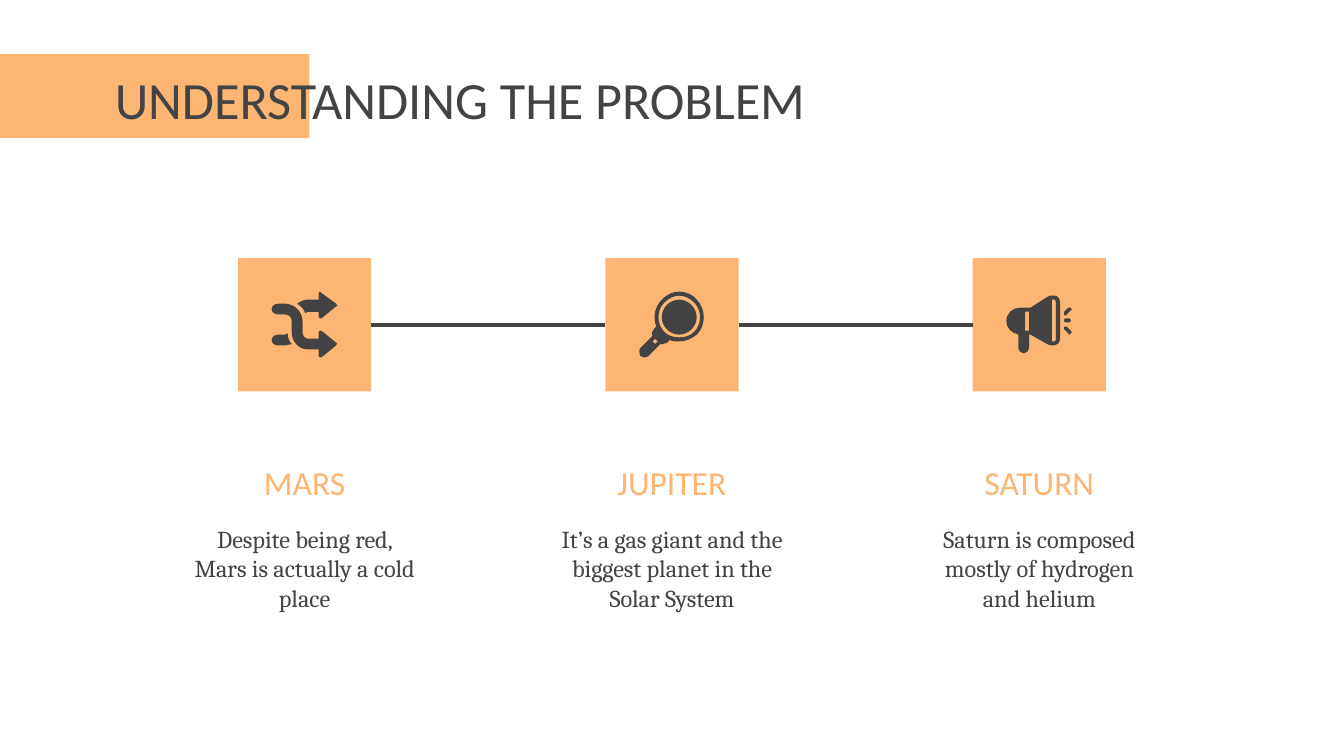
from itertools import pairwise

from lxml.etree import SubElement
from pptx import Presentation
from pptx.dml.color import RGBColor
from pptx.enum.shapes import MSO_CONNECTOR as Connector, MSO_SHAPE as Shape
from pptx.enum.text import MSO_ANCHOR as Anchor, PP_ALIGN as Align
from pptx.oxml.ns import qn
from pptx.util import Pt

ORANGE = RGBColor(0xFC, 0xB5, 0x72)
DARK = RGBColor(0x43, 0x43, 0x43)

SQUARE_LEFT, SQUARE_TOP, SQUARE_SIZE = 127.5, 138.25, 71.4
COLUMN_STEP = 196.8
ICON_UNIT = 0.72  # points per unit of the outlines below

TITLE = {"size": Pt(28), "name": "Calibri", "color": DARK}
HEADING = {"size": Pt(18), "name": "Calibri", "color": ORANGE}
BODY = {"size": Pt(13), "name": "Cambria", "color": DARK}

# Outlines start at the corner of their square: M move, L line, C curve, Z close
SHUFFLE_ICON = [
    "M 30 34 C 27 34 25 36 25 38 C 25 40 27 42 30 42 L 35 42 C 38 42 40 44 40 47 "
    "L 40 55 C 40 62 45 68 52 68 L 60 68 L 60 72 C 60 73 60 74 61 74 "
    "C 61 74 62 74 62 74 L 73 65 C 74 64 74 63 73 63 L 62 54 C 62 54 61 54 61 54 "
    "C 60 54 60 55 60 55 L 60 60 L 52 60 C 50 60 48 58 48 55 L 48 47 "
    "C 48 40 42 34 35 34 Z",
    "M 37 56 C 36 57 36 57 35 57 L 30 57 C 27 57 25 59 25 61 C 25 63 27 65 30 65 "
    "L 35 65 C 37 65 38 65 40 64 C 38 62 37 59 37 56 Z",
    "M 61 25 C 60 25 60 26 60 27 L 60 31 L 52 31 C 49 31 47 32 44 34 "
    "C 47 36 49 38 50 41 C 51 40 51 40 52 40 L 60 40 L 60 44 C 60 45 60 45 61 45 "
    "C 61 45 62 45 62 45 L 73 36 C 74 36 74 35 73 34 L 62 26 C 62 25 61 25 61 25 Z",
]
MAGNIFIER_ICON = [
    "M 55 28 C 59 28 63 30 66 33 C 72 39 72 49 66 55 C 63 58 59 59 55 59 "
    "C 51 59 47 58 44 55 C 38 49 38 39 44 33 C 47 30 51 28 55 28 Z "
    "M 37 60 L 39 62 L 37 64 L 35 62 Z "
    "M 55 25 C 50 25 46 27 42 31 C 37 36 35 44 38 51 L 36 53 C 35 54 34 56 35 58 "
    "L 26 67 C 25 68 25 71 26 73 C 27 73 28 74 29 74 C 30 74 32 73 32 73 L 41 64 "
    "C 42 64 42 64 43 64 C 44 64 45 64 46 63 L 48 61 C 50 62 53 62 55 62 "
    "C 60 62 64 60 68 57 C 75 50 75 38 68 31 C 65 27 60 25 55 25 Z",
    "M 55 31 C 48 31 42 37 42 44 C 42 51 48 57 55 57 C 62 57 68 51 68 44 "
    "C 68 37 62 31 55 31 Z",
]
MEGAPHONE_ICON = [
    "M 69 45 C 68 45 68 46 68 47 C 68 48 68 48 69 48 L 72 48 C 73 48 73 48 73 47 "
    "C 73 46 73 45 72 45 Z",
    "M 72 37 C 72 37 71 37 71 37 L 68 40 C 68 41 68 42 68 42 C 68 42 69 43 69 43 "
    "C 70 43 70 42 70 42 L 73 39 C 74 39 74 38 73 37 C 73 37 72 37 72 37 Z",
    "M 69 51 C 69 51 68 51 68 51 C 68 52 68 53 68 53 L 71 56 C 71 57 72 57 72 57 "
    "C 72 57 73 57 73 56 C 74 56 74 55 73 54 L 70 51 C 70 51 70 51 69 51 Z",
    "M 42 40 L 42 54 L 39 54 L 39 40 Z "
    "M 61 31 C 61 31 62 32 62 33 L 62 61 C 62 62 61 62 61 62 L 59 62 L 59 31 Z "
    "M 58 28 C 57 28 57 28 43 37 L 35 37 C 30 37 25 41 25 47 C 25 52 29 56 34 57 "
    "L 34 67 C 34 69 36 71 38 71 C 40 71 42 69 42 67 L 42 57 L 43 57 "
    "C 57 65 57 65 58 65 L 61 65 C 63 65 65 63 65 61 L 65 33 C 65 30 63 28 61 28 Z",
]

PLANETS = [
    ("MARS", "Despite being red, Mars is actually a cold place", SHUFFLE_ICON),
    ("JUPITER", "It’s a gas giant and the biggest planet in the Solar System",
     MAGNIFIER_ICON),
    ("SATURN", "Saturn is composed mostly of hydrogen and helium", MEGAPHONE_ICON),
]


def paint(shape, color):
    shape.shadow.inherit = False
    shape.fill.solid()
    shape.fill.fore_color.rgb = color
    shape.line.fill.background()


def add_rectangle(slide, left, top, width, height):
    shape = slide.shapes.add_shape(
        Shape.RECTANGLE, Pt(left), Pt(top), Pt(width), Pt(height))
    paint(shape, ORANGE)
    return shape


def add_text(slide, text, box, style, align=Align.LEFT, anchor=Anchor.TOP):
    frame = slide.shapes.add_textbox(*map(Pt, box)).text_frame
    margins = dict.fromkeys(
        ("margin_left", "margin_top", "margin_right", "margin_bottom"), Pt(7.2))
    for name, value in {"word_wrap": True, "vertical_anchor": anchor, **margins}.items():
        setattr(frame, name, value)
    paragraph = frame.paragraphs[0]
    paragraph.alignment = align
    run = paragraph.add_run()
    run.text = text
    for name, value in style.items():
        if name == "color":
            run.font.color.rgb = value
        else:
            setattr(run.font, name, value)


def read_contour(contour, left, top):
    """List the points of each segment; a curve has three, a line has one."""
    segments = []
    for segment in contour.replace("L", ";L").replace("C", ";C").split(";"):
        values = [float(number) for number in segment.split()[1:]]
        segments.append([(Pt(left + x * ICON_UNIT), Pt(top + y * ICON_UNIT))
                         for x, y in zip(values[::2], values[1::2])])
    return segments


def bend_lines(shape, segments):
    """Turn the lines of a freeform into curves where a segment has three points."""
    geometry = shape._element.find(".//" + qn("a:path"))
    for line, points in zip(geometry.findall(qn("a:lnTo")), segments):
        if len(points) == 3:
            curve = SubElement(geometry, qn("a:cubicBezTo"))
            for x, y in points:
                SubElement(curve, qn("a:pt"), x=str(x - shape.left), y=str(y - shape.top))
            geometry.replace(line, curve)


def add_outline(slide, outline, left, top):
    builder, segments = None, []
    for contour in filter(str.strip, outline.split("Z")):
        (start,), *rest = read_contour(contour, left, top)
        if builder is None:
            builder = slide.shapes.build_freeform(*start, scale=1.0)
        else:
            builder.move_to(*start)
        builder.add_line_segments([points[-1] for points in rest], close=True)
        segments += rest
    shape = builder.convert_to_shape()
    bend_lines(shape, segments)
    paint(shape, DARK)
    return shape


def add_icon(slide, outlines, left, top):
    slide.shapes.add_group_shape(
        [add_outline(slide, outline, left, top) for outline in outlines])


def join_squares(slide, first, second):
    line = slide.shapes.add_connector(Connector.STRAIGHT, 0, 0, 0, 0)
    line.begin_connect(first, 3)
    line.end_connect(second, 1)
    line.line.color.rgb = DARK
    line.line.width = Pt(2.25)
    SubElement(line._element.spPr, qn("a:effectLst"))


def main():
    presentation = Presentation()
    presentation.slide_width, presentation.slide_height = Pt(720), Pt(405)
    slide = presentation.slides.add_slide(presentation.slide_layouts[6])

    add_rectangle(slide, 0, 29, 165.8, 45)
    add_text(slide, "UNDERSTANDING THE PROBLEM", (54.4, 29, 641, 45), TITLE)

    lefts = [SQUARE_LEFT + index * COLUMN_STEP for index in range(len(PLANETS))]
    for left, (name, description, _) in zip(lefts, PLANETS):
        center = left + SQUARE_SIZE / 2
        add_text(slide, name, (center - 61, 231.4, 122, 45), HEADING,
                 Align.CENTER, Anchor.BOTTOM)
        add_text(slide, description, (center - 68, 273.8, 136, 97), BODY, Align.CENTER)

    squares = [add_rectangle(slide, left, SQUARE_TOP, SQUARE_SIZE, SQUARE_SIZE)
               for left in lefts]
    for left, (_, _, icon) in zip(lefts, PLANETS):
        add_icon(slide, icon, left, SQUARE_TOP)
    for first, second in pairwise(squares):
        join_squares(slide, first, second)

    presentation.save("out.pptx")


if __name__ == "__main__":
    main()
